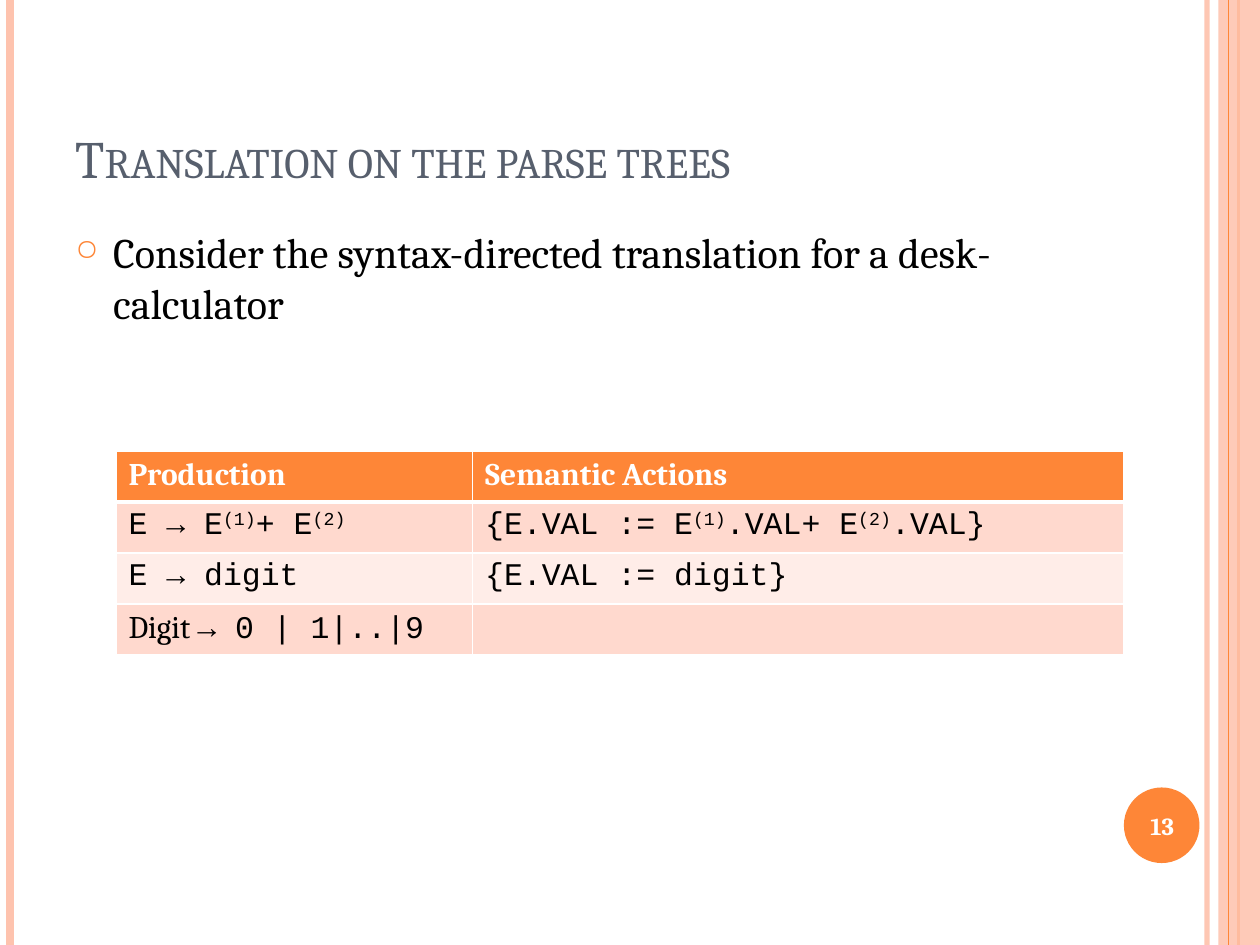
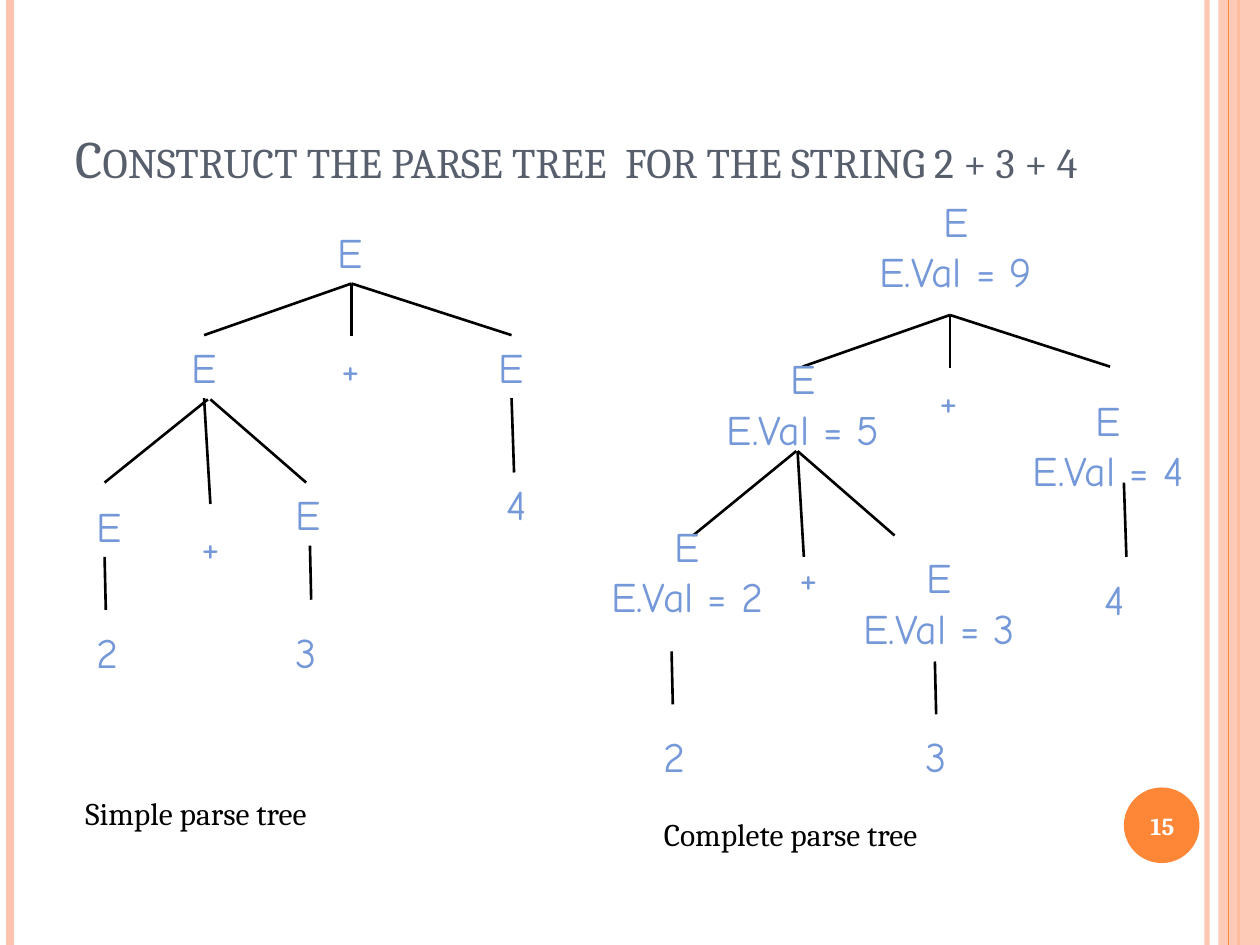
from lxml.etree import SubElement as Sub
from pptx import Presentation
from pptx.dml.color import RGBColor as Rgb
from pptx.enum.shapes import MSO_CONNECTOR as Link, MSO_SHAPE as Shape
from pptx.enum.text import MSO_ANCHOR as Anchor, PP_ALIGN as Align
from pptx.oxml.ns import qn
from pptx.util import Emu, Pt

SCALE = 9144
WIDE, HIGH = 1000, 750
COLORS = {
    "band": "FEC3AE", "accent": "FE8637", "title": "575F6D", "text": "000000",
    "node": "7598D9", "white": "FFFFFF", "odd": "FFD9CE", "even": "FFEDE8",
}
SERIF, MONO, COMIC = "Cambria", "Courier New", "Comic Neue"

HEADS = ["Production", "Semantic Actions"]
RULES = [
    (["E → E", "(1)", "+ E", "(2)"],
     ["{E.VAL := E", "(1)", ".VAL+ E", "(2)", ".VAL}"]),
    (["E → digit"], ["{E.VAL := digit}"]),
    (["Digit ", "→ 0 | 1|..|9"], []),
]

SIMPLE_NODES = [
    ("E", 258, 175), ("E", 142, 266), ("+", 261, 267), ("E", 386, 266),
    ("E", 67, 392), ("+", 150, 408), ("E", 225, 383), ("4", 392, 375),
    ("2", 67, 492), ("3", 225, 492),
]
SIMPLE_LINKS = [
    (279, 225, 162, 266), (279, 225, 279, 267), (279, 225, 406, 266),
    (165, 317, 83, 383), (162, 316, 167, 400), (167, 317, 243, 383),
    (406, 316, 408, 375), (83, 442, 84, 484), (246, 433, 247, 476),
]
FULL_NODES = [
    ("+", 736, 292), ("+", 625, 433), ("4", 867, 450),
    ("2", 517, 575), ("3", 725, 575),
]
FULL_LINKS = [
    (754, 250, 637, 291), (754, 250, 754, 292), (754, 250, 881, 291),
    (632, 358, 550, 425), (633, 358, 638, 442), (633, 358, 710, 425),
    (892, 383, 894, 442), (533, 517, 534, 559), (742, 525, 743, 567),
]
VALUES = [(9, 671, 150), (5, 550, 275), (4, 792, 308), (2, 458, 408), (3, 658, 433)]


def px(num):
    """Turn px into EMU."""
    return Emu(num * SCALE)


def tint(name):
    """Look up a colour by name."""
    return Rgb.from_string(COLORS[name])


def fade(node, share):
    """Set the opacity, in percent, of a solid fill below node."""
    color = next(node.iter(qn("a:srgbClr")))
    Sub(color, qn("a:alpha"), val=str(share * 1000))


def style(run, size, color, face=SERIF, bold=False):
    """Format one run."""
    font = run.font
    font.name, font.size, font.bold = face, Pt(size), bold
    font.color.rgb = tint(color)


def label(slide, text, box, size, color, face=SERIF, bold=False,
          align=Align.LEFT, anchor=Anchor.TOP):
    """Add a text box and return its text frame."""
    frame = slide.shapes.add_textbox(*map(px, box)).text_frame
    frame.word_wrap = True
    frame.vertical_anchor = anchor
    frame.text = text
    for para in frame.paragraphs:
        para.alignment = align
        style(para.runs[0], size, color, face, bold)
    return frame


def line(slide, ends, color="text", width=1.5):
    """Add a straight line and return it."""
    item = slide.shapes.add_connector(Link.STRAIGHT, *map(px, ends))
    item.line.color.rgb = tint(color)
    item.line.width = Pt(width)
    Sub(item._element.spPr, qn("a:effectLst"))
    return item


def solid(slide, kind, box, color):
    """Add a filled shape without outline and return it."""
    item = slide.shapes.add_shape(kind, *map(px, box))
    item.shadow.inherit = False
    item.fill.solid()
    item.fill.fore_color.rgb = tint(color)
    item.line.fill.background()
    return item


def rail(slide, left, color, width):
    """Add a line over the full height of the slide."""
    return line(slide, (left, 0, left, HIGH), color, width)


def page(deck, title, number):
    """Add a slide with side bands, title and number badge."""
    slide = deck.slides.add_slide(deck.slide_layouts[6])
    fade(rail(slide, 958, "band", 3)._element, 93)
    rail(slide, 8, "band", 4.5)
    rail(slide, 983, "accent", 1.5)
    fade(solid(slide, Shape.RECTANGLE, (967, 0, 33, HIGH), "band")._element, 87)
    rail(slide, 975, "accent", 0.75)
    solid(slide, Shape.OVAL, (892, 625, 60, 60), "accent")
    head = label(slide, title, (50, 30, 817, 125), 30, "title", anchor=Anchor.BOTTOM)
    head.paragraphs[0].runs[0].font._element.set("cap", "small")
    label(slide, str(number), (889, 627, 67, 57), 14, "white", bold=True,
          align=Align.CENTER, anchor=Anchor.MIDDLE)
    return slide


def bullet(slide, text, box):
    """Add a paragraph with a ring bullet."""
    para = label(slide, text, box, 24, "text").paragraphs[0]
    para.space_before = Pt(6)
    props = para._p.get_or_add_pPr()
    props.set("marL", str(px(30)))
    props.set("indent", str(px(-30)))
    color = Sub(props, qn("a:buClr"))
    Sub(color, qn("a:srgbClr"), val=COLORS["accent"])
    Sub(props, qn("a:buSzPct"), val="70000")
    Sub(props, qn("a:buChar"), char="○")


def paint(cell, color, base=1):
    """Give a cell white borders and a fill."""
    props = cell._tc.get_or_add_tcPr()
    for side, width in zip("LRTB", (1, 1, 1, base)):
        edge = Sub(props, qn(f"a:ln{side}"), w=str(Pt(width)))
        fill = Sub(edge, qn("a:solidFill"))
        Sub(fill, qn("a:srgbClr"), val=COLORS["white"])
    cell.fill.solid()
    cell.fill.fore_color.rgb = tint(color)


def write(cell, parts):
    """Fill a cell with code, raising the bracketed indices."""
    para = cell.text_frame.paragraphs[0]
    for part in parts:
        run = para.add_run()
        run.text = part
        style(run, 18, "text", SERIF if part == "Digit " else MONO)
        if part.startswith("("):
            run.font._element.set("baseline", "30000")


def grid(slide, heads, rows, box, widths):
    """Add the table of productions and their actions."""
    table = slide.shapes.add_table(len(rows) + 1, len(heads), *map(px, box)).table
    for col, width in zip(table.columns, widths):
        col.width = px(width)
    for cell, head in zip(table.rows[0].cells, heads):
        cell.text = head
        style(cell.text_frame.paragraphs[0].runs[0], 18, "white", bold=True)
        paint(cell, "accent", 3)
    for num, row in enumerate(rows, 1):
        for cell, parts in zip(table.rows[num].cells, row):
            write(cell, parts)
            paint(cell, "odd" if num % 2 else "even")


def tree(slide, nodes, links):
    """Draw the links and one-letter nodes of a parse tree."""
    for ends in links:
        line(slide, ends)
    for text, left, top in nodes:
        label(slide, text, (left, top, 46 if text in "23" else 41, 50),
              24, "node", COMIC)


def main():
    """Build both slides."""
    deck = Presentation()
    deck.slide_width, deck.slide_height = px(WIDE), px(HIGH)

    slide = page(deck, "Translation on the parse trees", 13)
    bullet(slide, "Consider the syntax-directed translation for a desk-calculator",
           (50, 175, 817, 533))
    grid(slide, HEADS, RULES, (92, 358, 800, 162), (283, 517))

    slide = page(deck, "Construct the parse tree  for the string 2 + 3 + 4", 15)
    tree(slide, SIMPLE_NODES, SIMPLE_LINKS)
    tree(slide, FULL_NODES, FULL_LINKS)
    for val, left, top in VALUES:
        label(slide, f"E\nE.Val = {val}", (left, top, 175, 91), 24, "node", COMIC,
              align=Align.CENTER)
    label(slide, "Simple parse tree", (58, 625, 267, 40), 18, "text")
    label(slide, "Complete parse tree", (517, 642, 367, 40), 18, "text")
    deck.save("out.pptx")


if __name__ == "__main__":
    main()
